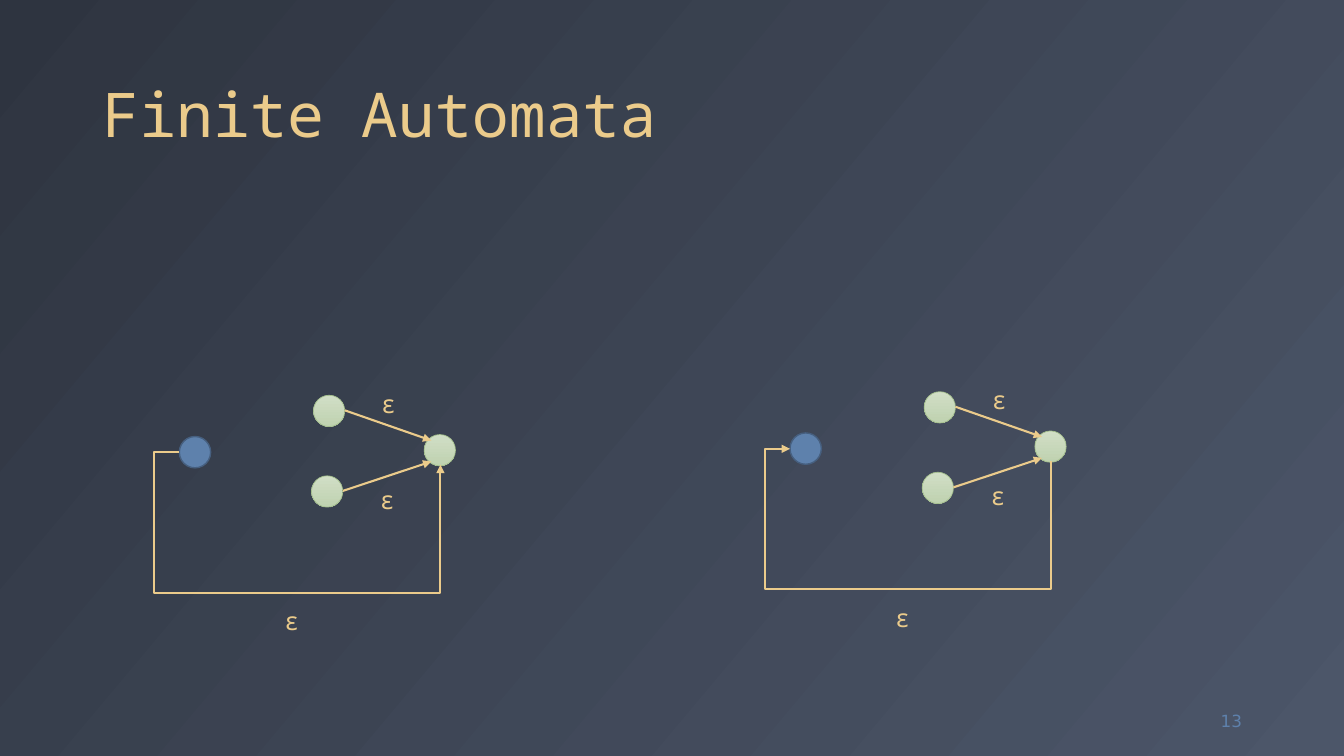
import pptx
import pptx.util
import pptx.dml.color
import pptx.enum.dml
import pptx.enum.shapes
import pptx.enum.text
import pptx.oxml.ns
import lxml.etree

Cm = pptx.util.Cm
Pt = pptx.util.Pt
RGB = pptx.dml.color.RGBColor.from_string
qn = pptx.oxml.ns.qn
ALIGN = pptx.enum.text.PP_ALIGN
ANCHOR = pptx.enum.text.MSO_ANCHOR
CONNECTOR = pptx.enum.shapes.MSO_CONNECTOR

theme = {
    "background": ("2E3440", "4C5669"),
    "gold": "EBCB8B",
    "blue": "5E81AC",
    "blue_line": "465F7F",
    "green": ("D1DEC6", "BFD2B0"),
    "green_line": "A3BE8C",
    "mono": "Noto Sans Mono",
    "sans": "DejaVu Sans",
    "title": 44,
    "label": 18,
    "number": 12,
}


def add_text(x, y, w, h, text, font, size, color, anchor=ANCHOR.TOP, align=ALIGN.LEFT, wrap=True):
    sp = s.shapes.add_textbox(Cm(x), Cm(y), Cm(w), Cm(h))
    tf = sp.text_frame
    tf.word_wrap = wrap
    tf.vertical_anchor = anchor
    p = tf.paragraphs[0]
    p.alignment = align
    r = p.add_run()
    r.text = text
    r.font.name = font
    r.font.size = Pt(size)
    r.font.color.rgb = RGB(color)
    return p


def set_gradient(fill, colors, angle):
    fill.gradient()
    fill.gradient_angle = angle
    for stop, color in zip(fill.gradient_stops, colors):
        stop.color.rgb = RGB(color)


prs = pptx.Presentation()
prs.slide_width = Cm(33.87)
prs.slide_height = Cm(19.05)
s = prs.slides.add_slide(prs.slide_layouts[6])
set_gradient(s.background.fill, theme["background"], 320)

title = add_text(2.33, 0.47, 29.21, 3.45, "Finite Automata", theme["mono"],
                 theme["title"], theme["gold"], ANCHOR.BOTTOM)
title.line_spacing = 0.9
add_text(29.43, 17.66, 2.12, 1.01, "13", theme["sans"], theme["number"],
         theme["blue"], ANCHOR.MIDDLE, ALIGN.RIGHT)

diameter = 0.79
states = [(4.52, 11.0, "blue"), (7.9, 9.96, "green"),
          (7.85, 11.99, "green"), (10.69, 10.95, "green")]
arrows = [
    (CONNECTOR.STRAIGHT, 8.69, 10.34, 10.87, 11.1),
    (CONNECTOR.STRAIGHT, 8.64, 12.37, 10.87, 11.63),
    (CONNECTOR.ELBOW, 4.52, 11.4, 11.1, 11.71),
]
labels = [(9.35, 9.65), (9.32, 12.07), (6.91, 15.14)]
automata = [(0, 0, "tailEnd"), (15.39, -0.09, "headEnd")]

for dx, dy, loop_end in automata:
    for x, y, color in states:
        sp = s.shapes.add_shape(pptx.enum.shapes.MSO_SHAPE.OVAL, Cm(x + dx), Cm(y + dy),
                                Cm(diameter), Cm(diameter))
        sp.shadow.inherit = False
        if color == "green":
            set_gradient(sp.fill, theme["green"], 270)
        else:
            sp.fill.solid()
            sp.fill.fore_color.rgb = RGB(theme["blue"])
        sp.line.color.rgb = RGB(theme[color + "_line"])
        sp.line.width = Pt(0.5 if color == "green" else 1)

    for kind, x1, y1, x2, y2 in arrows:
        cx = s.shapes.add_connector(kind, Cm(x1 + dx), Cm(y1 + dy), Cm(x2 + dx), Cm(y2 + dy))
        cx.line.color.rgb = RGB(theme["gold"])
        cx.line.width = Pt(1.5)
        spPr = cx._element.spPr
        end = "tailEnd"
        if kind == CONNECTOR.ELBOW:
            end = loop_end
            geom = spPr.find(qn("a:prstGeom"))
            geom.set("prst", "bentConnector4")
            guides = geom.find(qn("a:avLst"))
            for name, value in (("adj1", -9700), ("adj2", 1142300)):
                lxml.etree.SubElement(guides, qn("a:gd"), name=name, fmla=f"val {value}")
        lxml.etree.SubElement(spPr.find(qn("a:ln")), qn("a:" + end), type="triangle")
        lxml.etree.SubElement(spPr, qn("a:effectLst"))

    for x, y in labels:
        add_text(x + dx, y + dy, 0.89, 1.02, "ε", theme["mono"], theme["label"],
                 theme["gold"], wrap=False)

prs.save("out.pptx")
